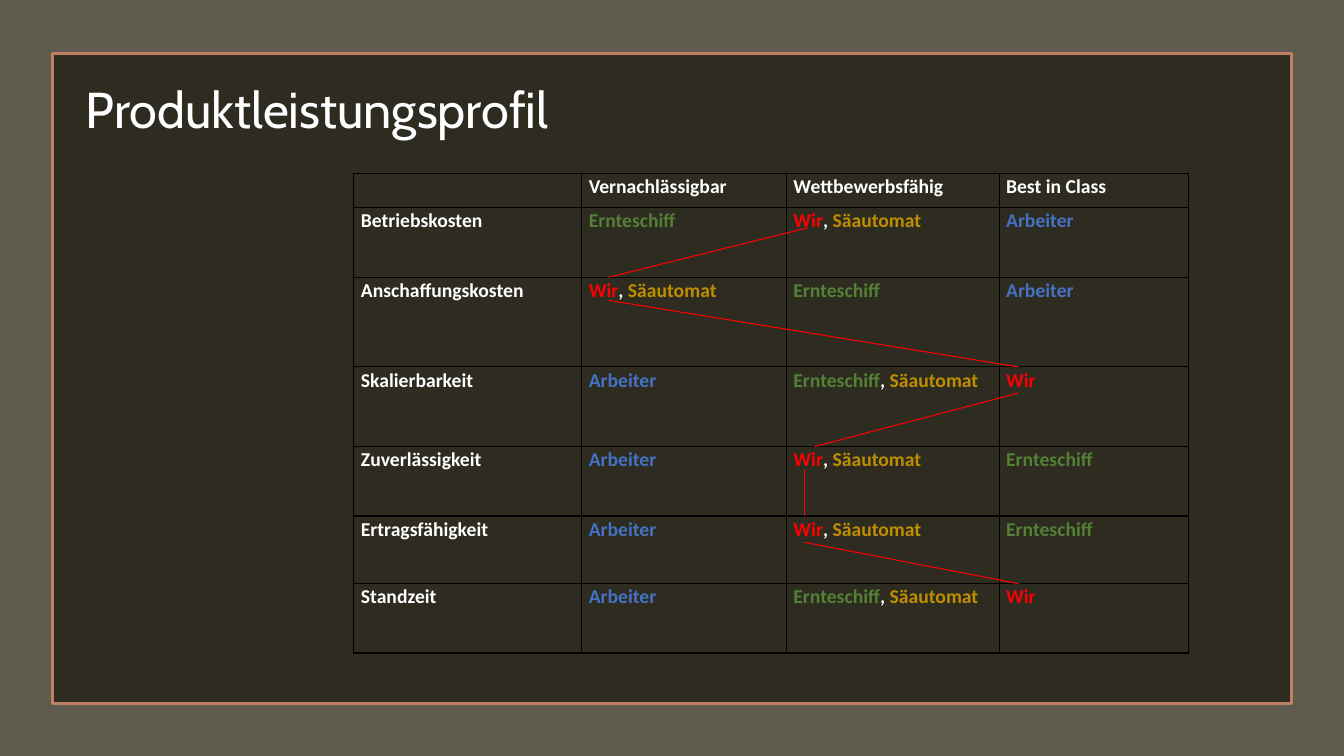
from dataclasses import dataclass, field
from itertools import accumulate, pairwise
from lxml import etree
from pptx import Presentation, util as u
from pptx.dml.color import RGBColor
from pptx.enum import shapes, text
from pptx.oxml import ns

TITLE = "Produktleistungsprofil"
HEADER = ["", "Vernachlässigbar", "Wettbewerbsfähig", "Best in Class"]
RATINGS = [
    ["Betriebskosten", "Ernteschiff", "Wir, Säautomat", "Arbeiter"],
    ["Anschaffungskosten", "Wir, Säautomat", "Ernteschiff", "Arbeiter"],
    ["Skalierbarkeit", "Arbeiter", "Ernteschiff, Säautomat", "Wir"],
    ["Zuverlässigkeit", "Arbeiter", "Wir, Säautomat", "Ernteschiff"],
    ["Ertragsfähigkeit", "Arbeiter", "Wir, Säautomat", "Ernteschiff"],
    ["Standzeit", "Arbeiter", "Ernteschiff, Säautomat", "Wir"],
]
COLS = [2.26, 2.03, 2.11, 1.88]
ROWS = [0.34, 0.69, 0.89, 0.79, 0.69, 0.67, 0.69]
TABLE_LEFT, TABLE_TOP = 3.51, 1.72
ENTRY_X = [0.21, 0.27, 0.19, 0.28, 0.18, 0.19]
EXIT_X = [0.21, 0.27, 0.19, 0.18, 0.18]
EXIT_Y = [0.2, 0.23, 0.26, 0.23, 0.26]


@dataclass
class Theme:
    frame: str = "605B4F"
    panel: str = "2E2B21"
    edge: str = "C17F63"
    ink: str = "FFFFFF"
    grid: str = "000000"
    route: str = "FF0000"
    title_font: str = "Cabin"
    title_size: int = 36
    cell_font: str = "Calibri"
    cell_size: int = 14
    rivals: dict = field(default_factory=lambda: {
        "Wir": "FF0000", "Säautomat": "BF8F00",
        "Ernteschiff": "538135", "Arbeiter": "4472C4"})


theme = Theme()


def rgb(value):
    return RGBColor.from_string(value)


def add_run(p, words, font, size, color, bold=False):
    r = p.add_run()
    r.text = words
    r.font.name, r.font.size, r.font.bold = font, u.Pt(size), bold
    r.font.color.rgb = rgb(color)


def add_panel(s, box, fill, edge=None):
    sp = s.shapes.add_shape(shapes.MSO_SHAPE.RECTANGLE, *map(u.Inches, box))
    sp.shadow.inherit = False
    sp.fill.solid()
    sp.fill.fore_color.rgb = rgb(fill)
    if edge:
        sp.line.color.rgb = rgb(edge)
        sp.line.width = u.Pt(1.75)
    else:
        sp.line.fill.background()


def add_borders(cell):
    tc_pr = cell._tc.get_or_add_tcPr()
    for i, side in enumerate(("lnL", "lnR", "lnT", "lnB")):
        ln = etree.Element(ns.qn(f"a:{side}"), w=str(u.Pt(1)))
        fill = etree.SubElement(ln, ns.qn("a:solidFill"))
        etree.SubElement(fill, ns.qn("a:srgbClr"), val=theme.grid)
        tc_pr.insert(i, ln)


def fill_cell(cell, words):
    cell.margin_left = cell.margin_right = u.Inches(0.07)
    cell.margin_top = cell.margin_bottom = 0
    cell.fill.background()
    add_borders(cell)
    p = cell.text_frame.paragraphs[0]
    p.line_spacing, p.space_after = 1.07, u.Pt(8)
    for i, name in enumerate(words.split(", ") if words else []):
        if i:
            add_run(p, ", ", theme.cell_font, theme.cell_size, theme.ink, True)
        color = theme.rivals.get(name, theme.ink)
        add_run(p, name, theme.cell_font, theme.cell_size, color, True)


def add_profile_table(s):
    box = TABLE_LEFT, TABLE_TOP, sum(COLS), sum(ROWS)
    table = s.shapes.add_table(len(ROWS), len(COLS), *map(u.Inches, box)).table
    table.first_row = table.horz_banding = False
    for column, width in zip(table.columns, COLS):
        column.width = u.Inches(width)
    for row, height, words in zip(table.rows, ROWS, [HEADER, *RATINGS]):
        row.height = u.Inches(height)
        for cell, entry in zip(row.cells, words):
            fill_cell(cell, entry)


def add_title(s):
    sp = s.shapes.title
    s.shapes._spTree.append(sp._element)
    sp.left, sp.top, sp.width, sp.height = map(u.Inches, (0.75, 0.72, 6.67, 0.71))
    tf = sp.text_frame
    tf.word_wrap = True
    tf.auto_size = text.MSO_AUTO_SIZE.NONE
    tf.vertical_anchor = text.MSO_ANCHOR.TOP
    p = tf.paragraphs[0]
    p.alignment = text.PP_ALIGN.LEFT
    add_run(p, TITLE, theme.title_font, theme.title_size, theme.ink)


def add_route(s):
    lefts = list(accumulate(COLS, initial=TABLE_LEFT))
    tops = list(accumulate(ROWS, initial=TABLE_TOP))[1:]
    own = [next(i for i, entry in enumerate(row) if "Wir" in entry.split(", "))
           for row in RATINGS]
    for i, (here, below) in enumerate(pairwise(own)):
        ends = (lefts[here] + EXIT_X[i], tops[i] + EXIT_Y[i],
                lefts[below] + ENTRY_X[i + 1], tops[i + 1])
        line = s.shapes.add_connector(shapes.MSO_CONNECTOR.STRAIGHT, *map(u.Inches, ends))
        line.line.color.rgb = rgb(theme.route)
        line.line.width = u.Pt(0.75)
        etree.SubElement(line._element.spPr, ns.qn("a:effectLst"))


def main():
    prs = Presentation()
    prs.slide_width, prs.slide_height = u.Inches(13.33), u.Inches(7.5)
    s = prs.slides.add_slide(prs.slide_layouts[5])
    s.background.fill.solid()
    s.background.fill.fore_color.rgb = rgb(theme.panel)
    add_panel(s, (0, 0, 13.33, 7.5), theme.frame)
    add_panel(s, (0.52, 0.53, 12.29, 6.45), theme.panel, theme.edge)
    add_profile_table(s)
    add_title(s)
    add_route(s)
    prs.save("out.pptx")


if __name__ == "__main__":
    main()
